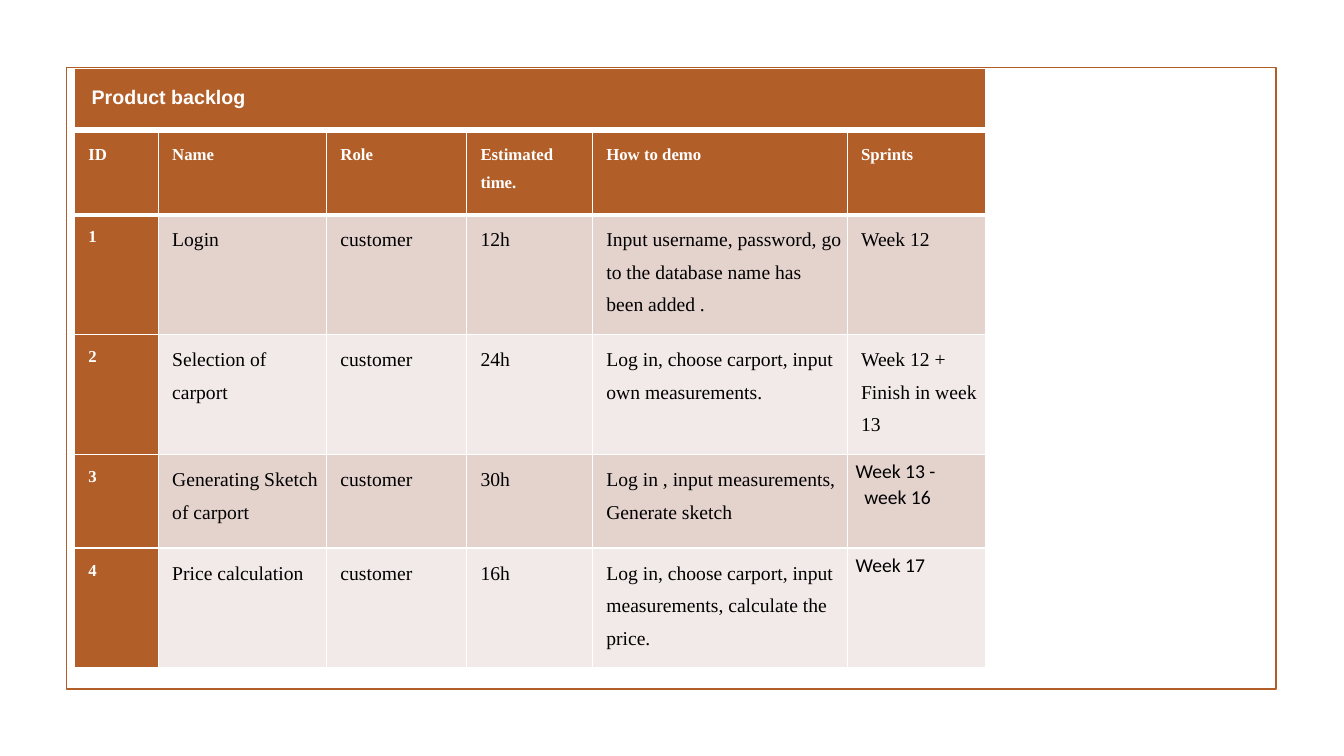
"""Build the product backlog slide."""
from lxml import etree
from pptx import Presentation
from pptx.dml.color import RGBColor
from pptx.enum import shapes
from pptx.oxml.ns import qn
from pptx.util import Cm, Pt

TITLE = "Product backlog"
HEADINGS = ["ID", "Name", "Role", "Estimated time.", "How to demo", "Sprints"]
STORIES = [
    ["1", "Login", "customer", "12h",
     "Input username, password, go to the database name has been added .", "Week 12"],
    ["2", "Selection of carport", "customer", "24h",
     "Log in, choose carport, input own measurements.", "Week 12 + Finish in week 13"],
    ["3", "Generating Sketch of carport", "customer", "30h",
     "Log in , input measurements, Generate sketch", "Week 13 -\nweek 16"],
    ["4", "Price calculation", "customer", "16h",
     "Log in, choose carport, input measurements, calculate the price.", "Week 17"],
]
LATE_SPRINTS = {"3", "4"}

RUST, WHITE, BLACK = "B15E28", "FFFFFF", "000000"
BANDS = ["E4D2CD", "F2EAE8"]
LEFT = 1.88
COLUMNS = [2.11, 4.24, 3.53, 3.17, 6.42, 3.5]
ROWS = [2.08, 3.02, 3.02, 2.36, 3.02]

TITLE_FONT = {"name": "Arial", "size": Pt(14), "bold": True}
HEAD_FONT = {"name": "Times New Roman", "size": Pt(12), "bold": True}
BODY_FONT = {"name": "Times New Roman", "size": Pt(14), "bold": False}
LATE_FONT = {"name": "Calibri", "size": Pt(14), "bold": False}
INDENT, LATE_INDENTS = 0.25, [0.11, 0.33]


def color(value):
    return RGBColor.from_string(value)


def add_borders(cell, top, bottom):
    properties = cell._tc.get_or_add_tcPr()
    for side, points in {"L": 1, "R": 1, "T": top, "B": bottom}.items():
        border = etree.SubElement(properties, qn(f"a:ln{side}"), w=str(Pt(points)))
        fill = etree.SubElement(border, qn("a:solidFill"))
        etree.SubElement(fill, qn("a:srgbClr"), val=WHITE)


def fill_cell(cell, wording, font, ink, fill, inset=0.1, top=1, bottom=1,
              indents=(INDENT,), spacing=1.5):
    add_borders(cell, top, bottom)
    cell.fill.solid()
    cell.fill.fore_color.rgb = color(fill)
    for side in ("left", "right", "top", "bottom"):
        setattr(cell, f"margin_{side}", Cm(inset))
    cell.text = wording
    for paragraph, indent in zip(cell.text_frame.paragraphs, indents):
        paragraph.line_spacing = spacing
        paragraph._p.get_or_add_pPr().set("marL", str(Cm(indent)))
        run_font = paragraph.runs[0].font
        for name, value in font.items():
            setattr(run_font, name, value)
        run_font.color.rgb = color(ink)


def add_grid(slide, top, columns, rows):
    grid = slide.shapes.add_table(len(rows), len(columns), Cm(LEFT), Cm(top),
                                  Cm(sum(columns)), Cm(sum(rows))).table
    for column, width in zip(grid.columns, columns):
        column.width = Cm(width)
    for row, height in zip(grid.rows, rows):
        row.height = Cm(height)
    return grid


def add_frame(slide):
    frame = slide.shapes.add_shape(shapes.MSO_SHAPE.RECTANGLE,
                                   Cm(1.68), Cm(1.7), Cm(30.48), Cm(15.67))
    frame.shadow.inherit = False
    frame.fill.background()
    frame.line.color.rgb = color(RUST)
    frame.line.width = Pt(1.25)


def add_backlog(slide):
    banner = add_grid(slide, 1.73, [sum(COLUMNS)], [1.52])
    fill_cell(banner.cell(0, 0), TITLE, TITLE_FONT, WHITE, RUST, inset=0.18, bottom=3)

    backlog = add_grid(slide, 3.33, COLUMNS, ROWS)
    for column, heading in enumerate(HEADINGS):
        fill_cell(backlog.cell(0, column), heading, HEAD_FONT, WHITE, RUST, bottom=3)
    for row, story in enumerate(STORIES, start=1):
        top = 3 if row == 1 else 1
        band = BANDS[(row - 1) % 2]
        for column, wording in enumerate(story):
            cell = backlog.cell(row, column)
            if column == 0:
                fill_cell(cell, wording, HEAD_FONT, WHITE, RUST, top=top)
            elif HEADINGS[column] == "Sprints" and story[0] in LATE_SPRINTS:
                fill_cell(cell, wording, LATE_FONT, BLACK, band, top=top,
                          indents=LATE_INDENTS, spacing=1.07)
            else:
                fill_cell(cell, wording, BODY_FONT, BLACK, band, top=top)


def main():
    deck = Presentation()
    deck.slide_width, deck.slide_height = Cm(33.87), Cm(19.05)
    slide = deck.slides.add_slide(deck.slide_layouts[6])
    add_frame(slide)
    add_backlog(slide)
    deck.save("out.pptx")


if __name__ == "__main__":
    main()
